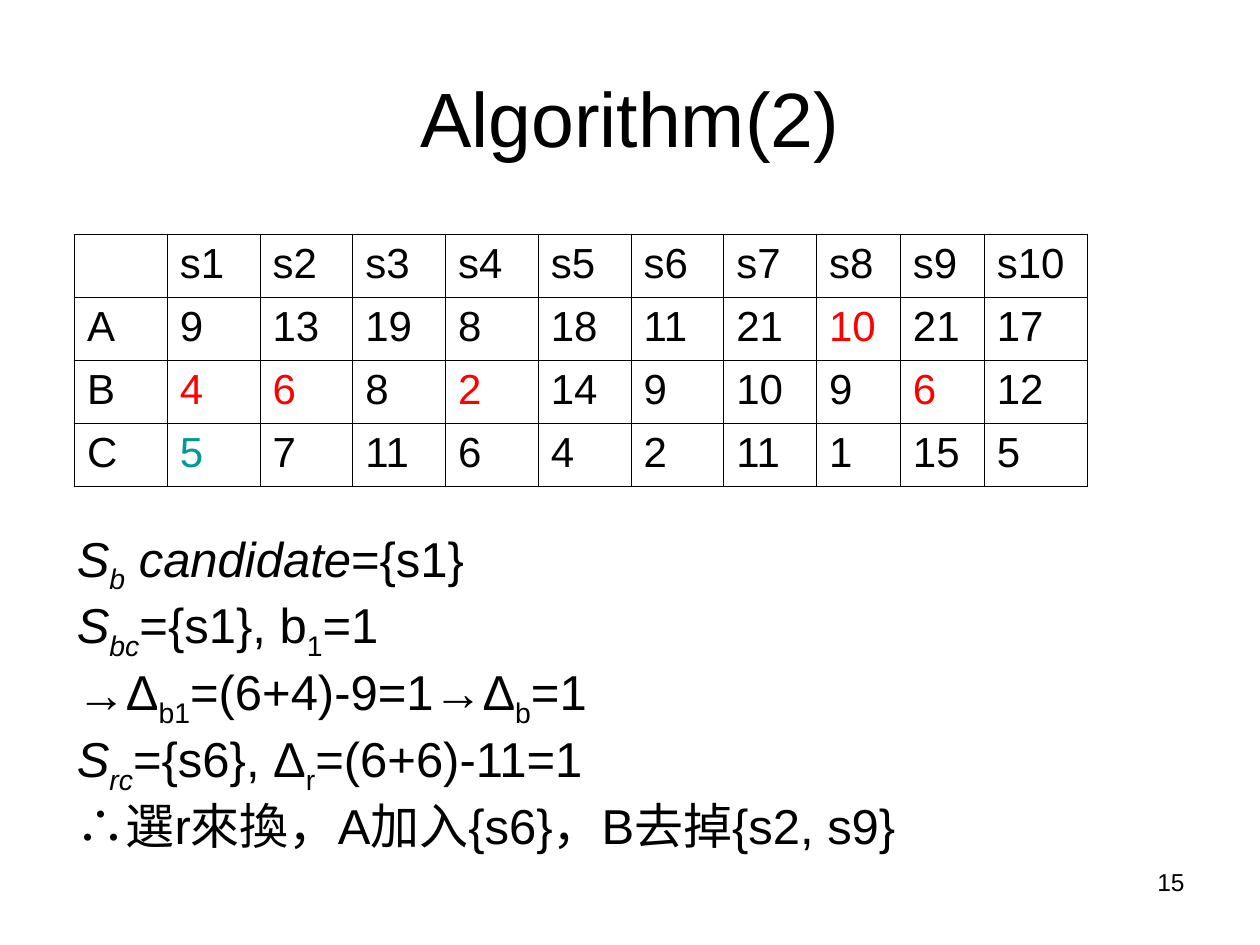
import pptx
import pptx.dml.color
import pptx.enum.text
import pptx.oxml
import pptx.oxml.ns
import pptx.util

Cm, Pt = pptx.util.Cm, pptx.util.Pt
ALIGN = pptx.enum.text.PP_ALIGN
ANCHOR = pptx.enum.text.MSO_ANCHOR
FONT = "Arial"
COLORS = {"black": "000000", "white": "FFFFFF", "red": "FF0000", "teal": "009999"}

COSTS = {
    "A": [9, 13, 19, 8, 18, 11, 21, 10, 21, 17],
    "B": [4, 6, 8, 2, 14, 9, 10, 9, 6, 12],
    "C": [5, 7, 11, 6, 4, 2, 11, 1, 15, 5],
}
# (row, column) of the marked costs
MARKS = {(1, 8): "red", (2, 1): "red", (2, 2): "red",
         (2, 4): "red", (2, 9): "red", (3, 1): "teal"}
WIDTHS = [1.87] * 8 + [1.69, 1.69, 2.08]
THIN, THICK = 0.45, 1.08

# Each line is a list of (text, style); "i" is italic, "_" is subscript
STEPS = [
    [("S", "i"), ("b", "i_"), (" candidate", "i"), ("={s1}", "")],
    [("S", "i"), ("bc", "i_"), ("={s1}, b", ""), ("1", "_"), ("=1", "")],
    [("Δ", ""), ("b1", "_"), ("=(6+4)-9=1→Δ", ""), ("b", "_"), ("=1", "")],
    [("S", "i"), ("rc", "i_"), ("={s6}, Δ", ""), ("r", "_"), ("=(6+6)-11=1", "")],
    [("∴選r來換，A加入{s6}，B去掉{s2, s9}", "")],
]
ARROW_STEP = 2


def style(font, size, color="black"):
    font.name = FONT
    font.size = Pt(size)
    font.color.rgb = pptx.dml.color.RGBColor.from_string(COLORS[color])


def add_box(slide, left, top, width, height):
    box = slide.shapes.add_textbox(Cm(left), Cm(top), Cm(width), Cm(height))
    box.text_frame.word_wrap = True
    return box.text_frame


def add_label(slide, place, text, size, align, anchor=ANCHOR.TOP):
    frame = add_box(slide, *place)
    frame.text = text
    frame.vertical_anchor = anchor
    para = frame.paragraphs[0]
    para.alignment = align
    style(para.runs[0].font, size)


def add_border(cell, side, width):
    """Draw one side (L, R, T or B) of a cell."""
    line = pptx.oxml.parse_xml(
        f'<a:ln{side} {pptx.oxml.ns.nsdecls("a")} w="{Pt(width)}">'
        f'<a:solidFill><a:srgbClr val="{COLORS["black"]}"/></a:solidFill>'
        f'</a:ln{side}>')
    cell._tc.get_or_add_tcPr().append(line)


def add_costs(slide):
    names = [f"s{n}" for n in range(1, 11)]
    rows = [["", *names]] + [[key, *costs] for key, costs in COSTS.items()]
    last_row, last_col = len(rows) - 1, len(WIDTHS) - 1
    table = slide.shapes.add_table(
        len(rows), len(WIDTHS), Cm(1.5), Cm(4.72),
        Cm(sum(WIDTHS)), Cm(1.27 * len(rows))).table
    table.first_row = table.horz_banding = False
    for col, width in zip(table.columns, WIDTHS):
        col.width = Cm(width)
    for r, row in enumerate(rows):
        table.rows[r].height = Cm(1.27)
        for c, value in enumerate(row):
            cell = table.cell(r, c)
            cell.text = str(value)
            style(cell.text_frame.paragraphs[0].font, 24, MARKS.get((r, c), "black"))
            edges = {"L": c == 0, "R": c == last_col, "T": False, "B": r == last_row}
            for side, outer in edges.items():
                add_border(cell, side, THICK if outer else THIN)
            cell.fill.background()


def add_arrow(para):
    """Give a paragraph an arrow bullet one em wide."""
    props = para._p.get_or_add_pPr()
    props.set("marL", str(Pt(28)))
    props.set("indent", str(-Pt(28)))
    space = pptx.oxml.ns.nsdecls("a")
    for tag in (f'<a:buClr {space}><a:srgbClr val="{COLORS["black"]}"/></a:buClr>',
                f'<a:buFont {space} typeface="{FONT}"/>',
                f'<a:buChar {space} char="→"/>'):
        props.append(pptx.oxml.parse_xml(tag))


def add_steps(slide):
    frame = add_box(slide, 1.3, 10.52, 22.15, 6.83)
    for n, step in enumerate(STEPS):
        para = frame.add_paragraph() if n else frame.paragraphs[0]
        if n == ARROW_STEP:
            add_arrow(para)
        for text, marks in step:
            run = para.add_run()
            run.text = text
            style(run.font, 28)
            run.font.italic = "i" in marks
            if "_" in marks:
                run.font._element.set("baseline", "-25000")


def main():
    deck = pptx.Presentation()
    deck.slide_width, deck.slide_height = Cm(25.4), Cm(19.05)
    slide = deck.slides.add_slide(deck.slide_layouts[6])
    add_label(slide, (1.27, 0.76, 22.86, 3.18), "Algorithm(2)", 44,
              ALIGN.CENTER, ANCHOR.MIDDLE)
    add_costs(slide)
    add_steps(slide)
    add_label(slide, (18.21, 17.35, 5.92, 1.32), "15", 14, ALIGN.RIGHT)
    deck.save("out.pptx")


if __name__ == "__main__":
    main()
